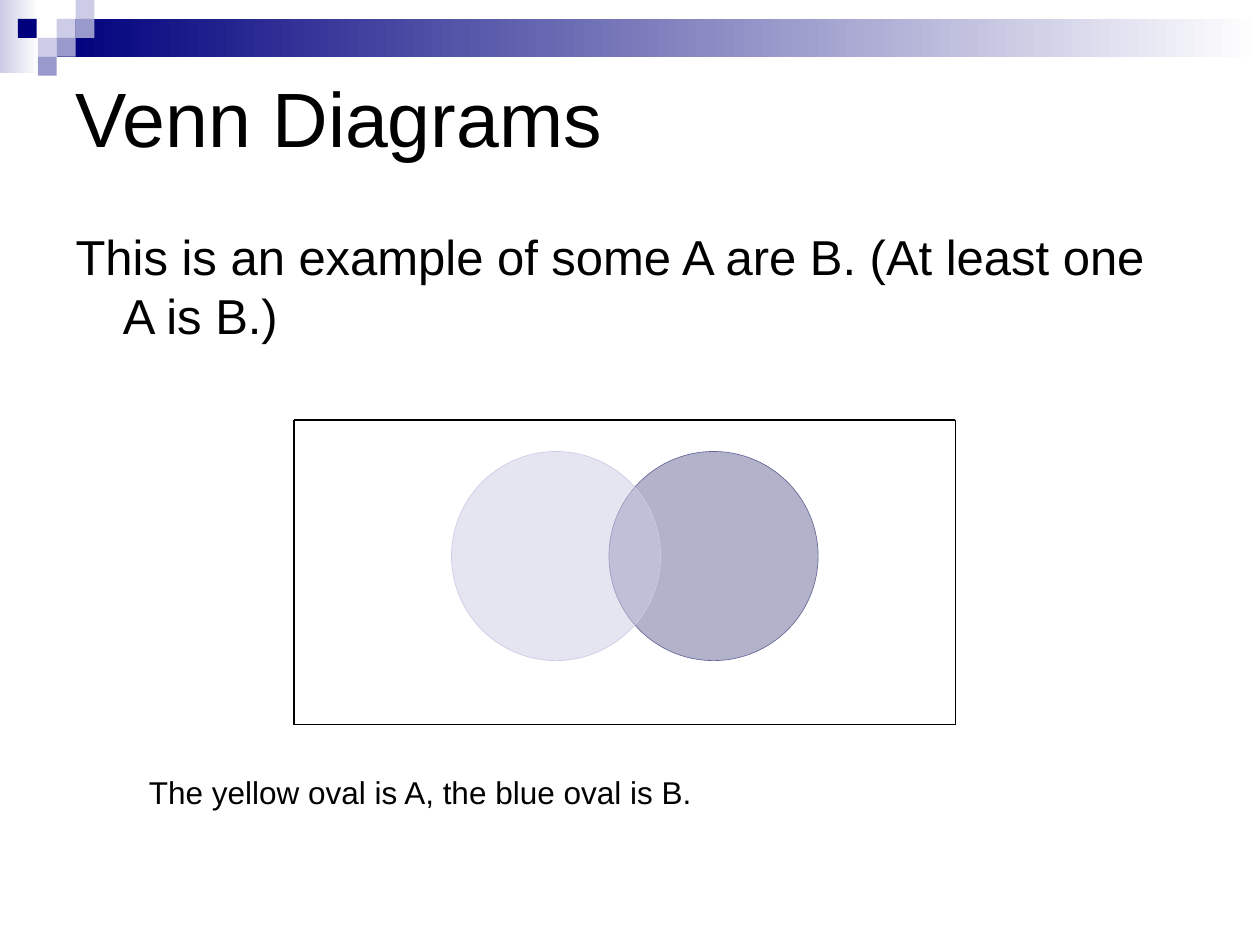
from typing import NamedTuple

from lxml.etree import SubElement
from pptx import Presentation
from pptx.dml.color import RGBColor
from pptx.enum.shapes import MSO_CONNECTOR, MSO_SHAPE
from pptx.enum.text import MSO_ANCHOR, MSO_AUTO_SIZE, PP_ALIGN
from pptx.oxml.ns import qn
from pptx.util import Pt

BLACK, WHITE = "000000", "FFFFFF"
NAVY, LAVENDER, PERIWINKLE, SLATE = "00007D", "CCCCE6", "9999CC", "666699"
TILE = 10.8


class Box(NamedTuple):
    left: float
    top: float
    width: float
    height: float


class Tile(NamedTuple):
    column: float
    row: int
    color: str


class Circle(NamedTuple):
    left: float
    color: str


BANDS = [(Box(0, 0, 22.3, 41.8), LAVENDER), (Box(32.4, TILE, 687.6, 21.6), NAVY)]
TILES = [
    Tile(3, 1, LAVENDER), Tile(4, 0, LAVENDER), Tile(4, 1, PERIWINKLE),
    Tile(2, 2, LAVENDER), Tile(0.94, 1, NAVY), Tile(3, 2, PERIWINKLE),
    Tile(2, 3, PERIWINKLE),
]
CIRCLES = [Circle(348, SLATE), Circle(258, LAVENDER)]
CIRCLE_TOP, DIAMETER = 258, 119.5
FRAME = Box(168, 240, 378, 174)


def rgb(color: str) -> RGBColor:
    return RGBColor.from_string(color)


def points(box: Box) -> list:
    return [Pt(length) for length in box]


def add_plain_shape(shapes, kind, box: Box):
    shape = shapes.add_shape(kind, *points(box))
    shape.shadow.inherit = False
    shape.line.fill.background()
    return shape


def add_band(shapes, box: Box, color: str) -> None:
    """Add a rectangle that fades to white at its right end."""
    fill = add_plain_shape(shapes, MSO_SHAPE.RECTANGLE, box).fill
    fill.gradient()
    fill.gradient_angle = 0
    for stop, stop_color in zip(fill.gradient_stops, (color, WHITE)):
        stop.color.rgb = rgb(stop_color)


def add_tile(shapes, tile: Tile) -> None:
    box = Box(tile.column * TILE, tile.row * TILE, TILE, TILE)
    fill = add_plain_shape(shapes, MSO_SHAPE.RECTANGLE, box).fill
    fill.solid()
    fill.fore_color.rgb = rgb(tile.color)


def add_circle(shapes, circle: Circle) -> None:
    """Add a half-transparent circle with a thin outline."""
    box = Box(circle.left, CIRCLE_TOP, DIAMETER, DIAMETER)
    shape = add_plain_shape(shapes, MSO_SHAPE.OVAL, box)
    shape.fill.solid()
    shape.fill.fore_color.rgb = rgb(circle.color)
    fill_color = shape.element.spPr.find(qn("a:solidFill"))[0]
    SubElement(fill_color, qn("a:alpha"), val="50000")
    shape.line.color.rgb = rgb(circle.color)
    shape.line.width = Pt(0.37)


def add_line(shapes, start: tuple, end: tuple) -> None:
    line = shapes.add_connector(
        MSO_CONNECTOR.STRAIGHT, *(Pt(length) for length in start + end))
    line.line.color.rgb = rgb(BLACK)
    line.line.width = Pt(0.75)
    SubElement(line.element.spPr, qn("a:effectLst"))


def add_frame(shapes, box: Box) -> None:
    right, bottom = box.left + box.width, box.top + box.height
    corners = [(box.left, box.top), (right, box.top),
               (right, bottom), (box.left, bottom)]
    for start, end in zip(corners, corners[1:] + corners[:1]):
        add_line(shapes, start, end)


def write(shape, text: str, *, box: Box, size: float, hanging: float = 0,
          anchor=MSO_ANCHOR.TOP) -> None:
    """Place a text shape and fill it with one left-aligned paragraph."""
    shape.left, shape.top, shape.width, shape.height = points(box)
    frame = shape.text_frame
    frame.word_wrap = True
    frame.auto_size = MSO_AUTO_SIZE.NONE
    frame.vertical_anchor = anchor
    para = frame.paragraphs[0]
    para.alignment = PP_ALIGN.LEFT
    para.space_before = Pt(0)
    properties = para._p.get_or_add_pPr()
    properties.set("marL", str(Pt(hanging)))
    properties.set("indent", str(-Pt(hanging)))
    SubElement(properties, qn("a:buNone"))
    span = para.add_run()
    span.text = text
    span.font.name = "Arial"
    span.font.size = Pt(size)
    span.font.color.rgb = rgb(BLACK)


def main() -> None:
    deck = Presentation()
    deck.slide_width, deck.slide_height = Pt(720), Pt(540)
    page = deck.slides.add_slide(deck.slide_layouts[1])
    shapes = page.shapes

    for box, color in BANDS:
        add_band(shapes, box, color)
    for tile in TILES:
        add_tile(shapes, tile)

    write(shapes.title, "Venn Diagrams", box=Box(36, 21.6, 648, 90), size=44,
          anchor=MSO_ANCHOR.MIDDLE)
    write(page.placeholders[1],
          "This is an example of some A are B. (At least one A is B.)",
          box=Box(36, 126, 642, 120), size=28, hanging=27)

    circles = shapes.add_group_shape()
    for circle in CIRCLES:
        add_circle(circles.shapes, circle)

    caption_box = Box(78, 438, 570, 29)
    write(shapes.add_textbox(*points(caption_box)),
          "The yellow oval is A, the blue oval is B.", box=caption_box, size=18)
    add_frame(shapes, FRAME)
    deck.save("out.pptx")


if __name__ == "__main__":
    main()
